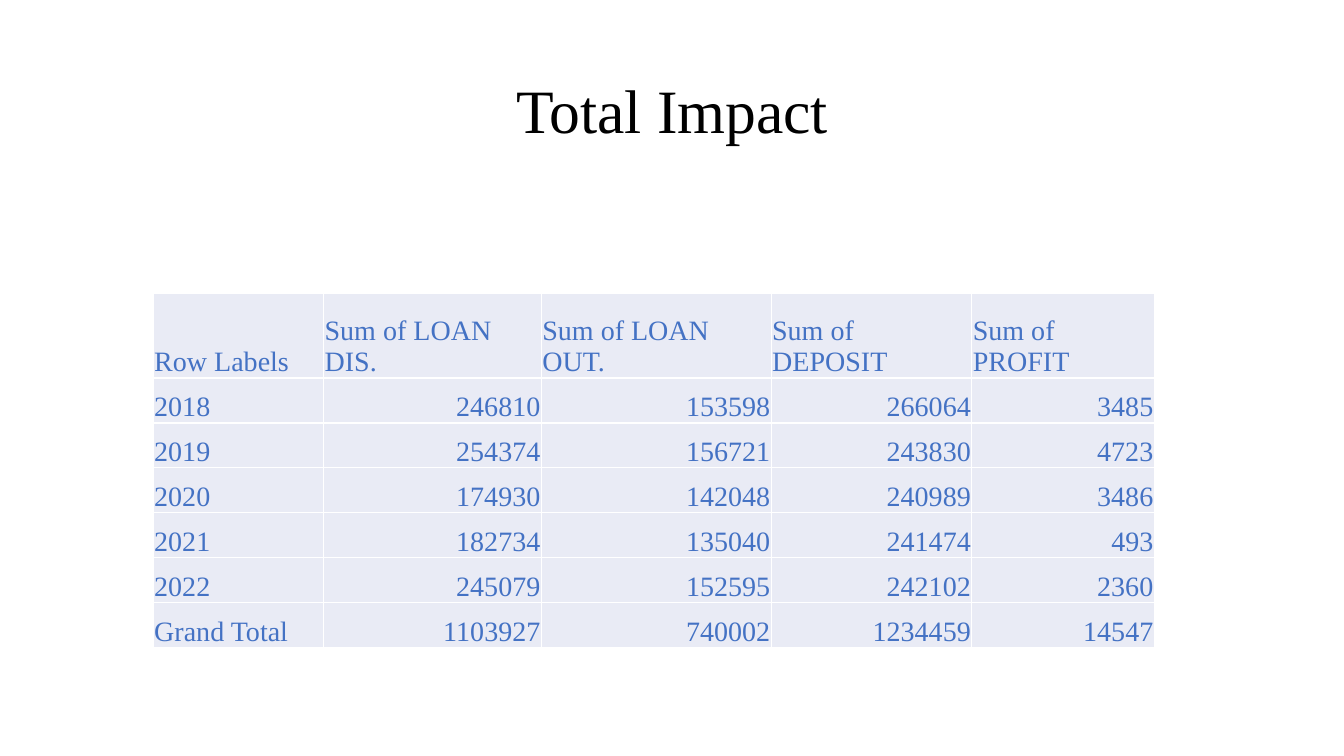
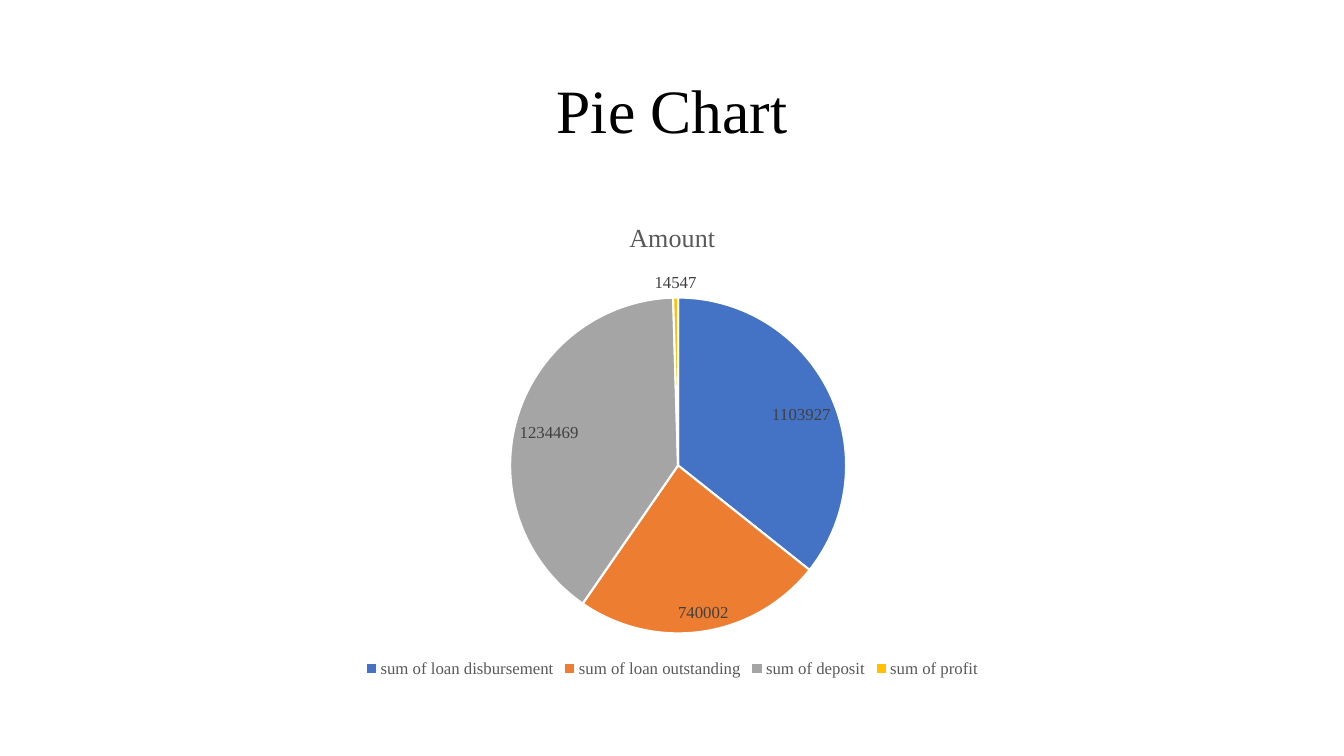
from lxml.etree import SubElement
from pptx import Presentation
from pptx.chart.data import CategoryChartData
from pptx.dml.color import RGBColor
from pptx.enum.chart import XL_CHART_TYPE, XL_LABEL_POSITION, XL_LEGEND_POSITION
from pptx.enum.text import MSO_ANCHOR, MSO_AUTO_SIZE, PP_ALIGN
from pptx.oxml import parse_xml
from pptx.oxml.ns import nsdecls, qn
from pptx.util import Inches, Pt

FONT = "Times New Roman"
COLORS = {
    "title": "000000",
    "table_text": "4472C4",
    "table_fill": "E9EBF5",
    "line": "FFFFFF",
    "chart_text": "595959",
    "label": "404040",
}
SLICE_COLORS = ["4472C4", "ED7D31", "A5A5A5", "FFC000"]
SLIDE_WIDTH = Inches(13.33)
SLIDE_HEIGHT = Inches(7.5)
TITLE_ONLY = 5

TITLE_AREA = (6.9, 5.33, 86.25, 19.33)
CHART_AREA = (6.9, 26.67, 86.25, 63.47)
TABLE_CORNER = (11.4, 38.8)
COLUMN_SHARES = [12.68, 16.2, 17.1, 14.93, 13.58]
HEADER_SHARE = 11.2
ROW_SHARE = 5.95
PIE_LAYOUT = {"x": 0.36, "y": 0.2, "w": 0.29, "h": 0.7}

IMPACT_ROWS = [
    ["Row Labels", "Sum of LOAN DIS.", "Sum of LOAN OUT.", "Sum of DEPOSIT", "Sum of PROFIT"],
    ["2018", "246810", "153598", "266064", "3485"],
    ["2019", "254374", "156721", "243830", "4723"],
    ["2020", "174930", "142048", "240989", "3486"],
    ["2021", "182734", "135040", "241474", "493"],
    ["2022", "245079", "152595", "242102", "2360"],
    ["Grand Total", "1103927", "740002", "1234459", "14547"],
]
AMOUNTS = {
    "sum of loan disbursement": 1103927,
    "sum of loan outstanding": 740002,
    "sum of deposit": 1234469,
    "sum of profit": 14547,
}


def across(percent):
    return round(SLIDE_WIDTH * percent / 100)


def down(percent):
    return round(SLIDE_HEIGHT * percent / 100)


def place(area):
    left, top, width, height = area
    return across(left), down(top), across(width), down(height)


def style_font(font, size, color):
    font.name = FONT
    font.size = Pt(size)
    font.bold = False
    font.color.rgb = RGBColor.from_string(COLORS[color])


def add_titled_slide(presentation, text):
    slide = presentation.slides.add_slide(presentation.slide_layouts[TITLE_ONLY])
    title = slide.shapes.title
    title.left, title.top, title.width, title.height = place(TITLE_AREA)
    text_frame = title.text_frame
    text_frame.text = text
    text_frame.auto_size = MSO_AUTO_SIZE.NONE
    text_frame.vertical_anchor = MSO_ANCHOR.MIDDLE
    paragraph = text_frame.paragraphs[0]
    paragraph.alignment = PP_ALIGN.CENTER
    paragraph.line_spacing = 0.9
    style_font(paragraph.runs[0].font, 44, "title")
    return slide


def add_cell_borders(cell):
    properties = cell._tc.get_or_add_tcPr()
    for index, side in enumerate(["lnL", "lnR", "lnT", "lnB"]):
        border = parse_xml(
            f'<a:{side} {nsdecls("a")} w="{Pt(1)}"><a:solidFill>'
            f'<a:srgbClr val="{COLORS["line"]}"/></a:solidFill></a:{side}>'
        )
        properties.insert(index, border)


def fill_cell(cell, text, alignment):
    cell.text_frame.text = text
    cell.vertical_anchor = MSO_ANCHOR.BOTTOM
    cell.margin_left = cell.margin_right = cell.margin_top = Inches(0.01)
    cell.margin_bottom = 0
    cell.fill.solid()
    cell.fill.fore_color.rgb = RGBColor.from_string(COLORS["table_fill"])
    paragraph = cell.text_frame.paragraphs[0]
    paragraph.alignment = alignment
    style_font(paragraph.runs[0].font, 20, "table_text")
    add_cell_borders(cell)


def add_impact_table(slide):
    row_shares = [HEADER_SHARE] + [ROW_SHARE] * (len(IMPACT_ROWS) - 1)
    area = (*TABLE_CORNER, sum(COLUMN_SHARES), sum(row_shares))
    table = slide.shapes.add_table(len(row_shares), len(COLUMN_SHARES), *place(area)).table
    table.first_row = table.horz_banding = False
    for column, share in zip(table.columns, COLUMN_SHARES):
        column.width = across(share)
    for row, share in zip(table.rows, row_shares):
        row.height = down(share)
    for row_index, values in enumerate(IMPACT_ROWS):
        for column_index, value in enumerate(values):
            is_number = row_index > 0 and column_index > 0
            alignment = PP_ALIGN.RIGHT if is_number else PP_ALIGN.LEFT
            fill_cell(table.cell(row_index, column_index), value, alignment)


def set_plot_layout(chart):
    plot_area = chart._chartSpace.chart.plotArea
    for layout in plot_area.findall(qn("c:layout")):
        plot_area.remove(layout)
    layout = parse_xml(f'<c:layout {nsdecls("c")}/>')
    manual = SubElement(layout, qn("c:manualLayout"))
    settings = {"layoutTarget": "inner", "xMode": "edge", "yMode": "edge", **PIE_LAYOUT}
    for name, value in settings.items():
        SubElement(manual, qn(f"c:{name}")).set("val", str(value))
    plot_area.insert(0, layout)


def style_slices(plot):
    plot.vary_by_categories = True
    for index, color in enumerate(SLICE_COLORS):
        slice_format = plot.series[0].points[index].format
        slice_format.fill.solid()
        slice_format.fill.fore_color.rgb = RGBColor.from_string(color)
        slice_format.line.color.rgb = RGBColor.from_string(COLORS["line"])
        slice_format.line.width = Pt(1.5)
    labels = plot.series[0].data_labels
    labels.show_value = True
    labels.show_percentage = False
    labels.position = XL_LABEL_POSITION.BEST_FIT
    style_font(labels.font, 12, "label")


def add_amount_pie(slide):
    data = CategoryChartData()
    data.categories = list(AMOUNTS)
    data.add_series("Series 1", list(AMOUNTS.values()))
    chart = slide.shapes.add_chart(XL_CHART_TYPE.PIE, *place(CHART_AREA), data).chart
    style_font(chart.font, 10, "title")
    chart.has_title = True
    chart.chart_title.include_in_layout = False
    title_frame = chart.chart_title.text_frame
    title_frame.text = "Amount"
    style_font(title_frame.paragraphs[0].runs[0].font, 18.6, "chart_text")
    chart.has_legend = True
    chart.legend.position = XL_LEGEND_POSITION.BOTTOM
    chart.legend.include_in_layout = False
    style_font(chart.legend.font, 12, "chart_text")
    style_slices(chart.plots[0])
    set_plot_layout(chart)


def main():
    presentation = Presentation()
    presentation.slide_width = SLIDE_WIDTH
    presentation.slide_height = SLIDE_HEIGHT
    add_impact_table(add_titled_slide(presentation, "Total Impact"))
    add_amount_pie(add_titled_slide(presentation, "Pie Chart"))
    presentation.save("out.pptx")


if __name__ == "__main__":
    main()
